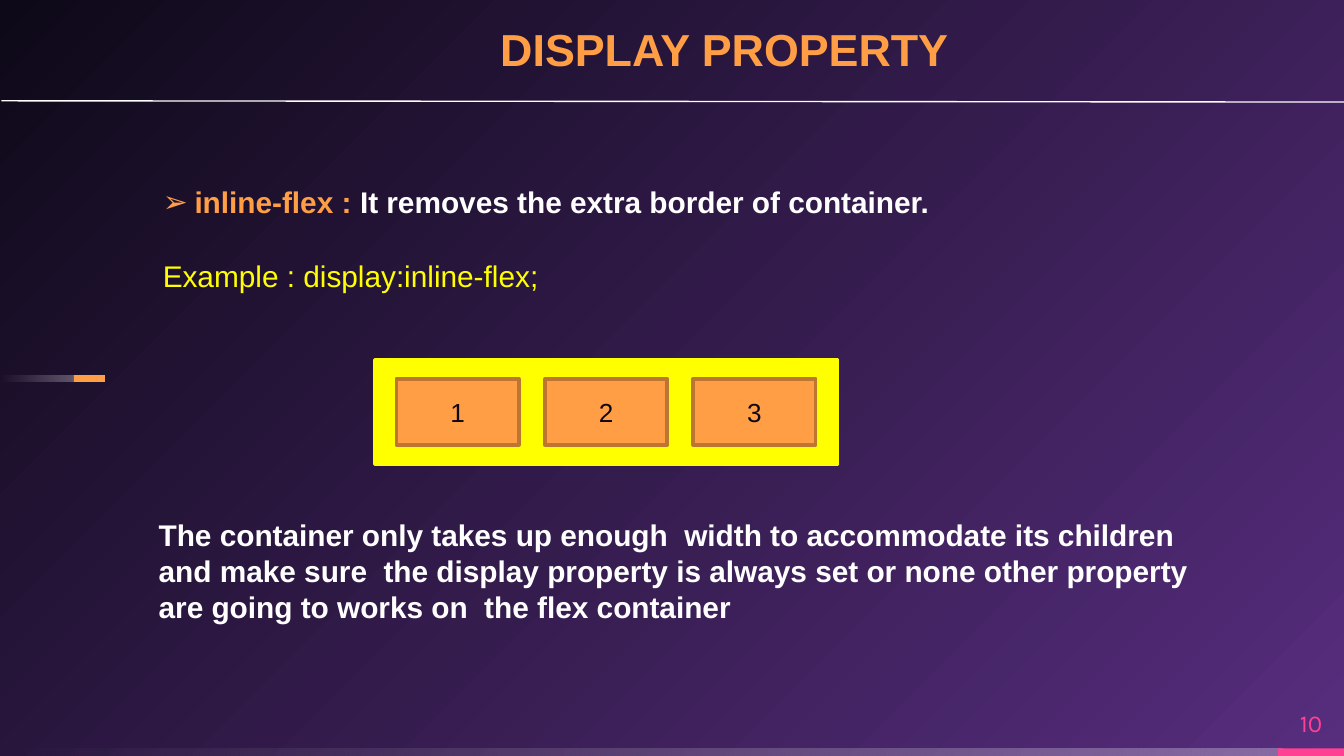
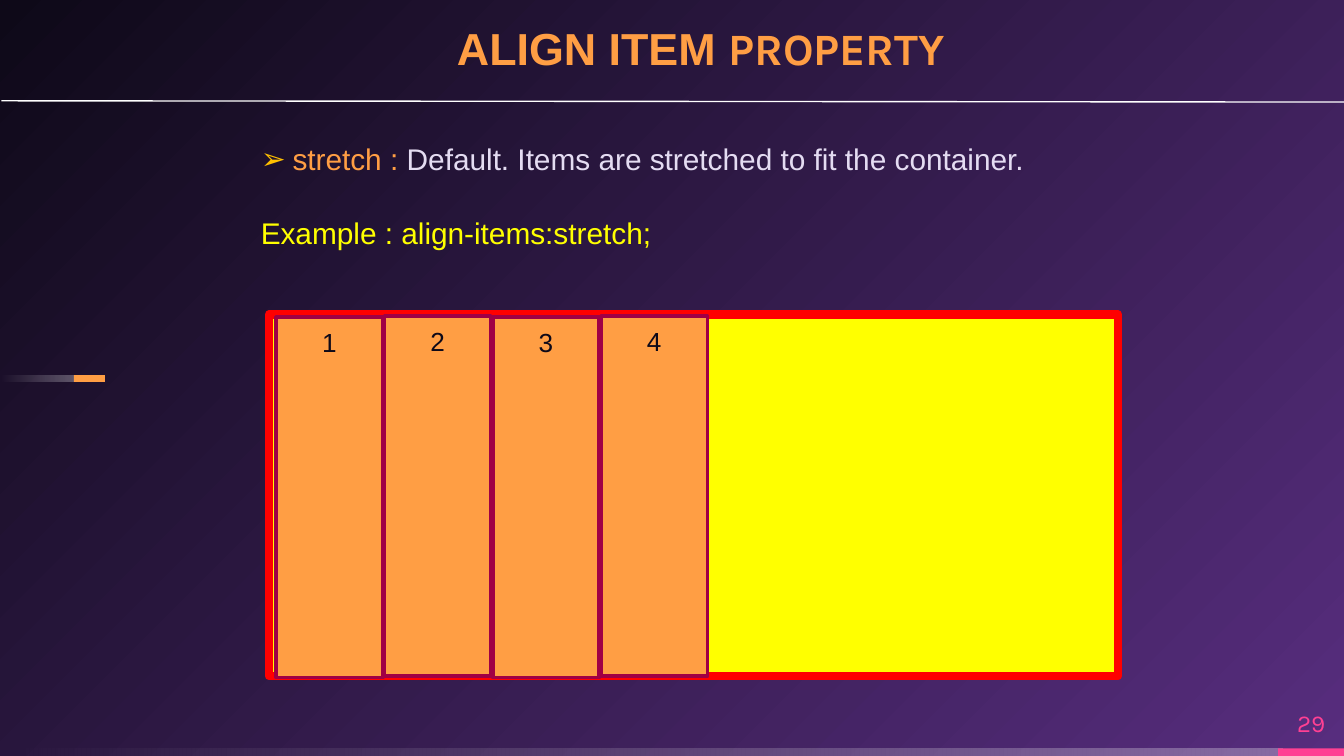
"""Build two slides on the CSS flexbox display and align-items properties."""
from lxml.etree import SubElement
from pptx import Presentation
from pptx.dml.color import RGBColor
from pptx.enum.shapes import MSO_CONNECTOR, MSO_SHAPE
from pptx.enum.text import MSO_ANCHOR, MSO_AUTO_SIZE, PP_ALIGN
from pptx.oxml.ns import qn
from pptx.util import Pt

ORANGE, PINK, YELLOW, WHITE = "FF9E44", "FF4093", "FFFF00", "FFFFFF"
PURPLE, DARK = "572D7E", "0E0918"

SLIDES = [
    {
        "number": "10",
        "title": [("DISPLAY PROPERTY", "Arial")],
        "title_spot": (268, 9.4, 296, 31),
        "title_spacing": 1.0,
        "body_spot": (80, 95, 522, 85),
        "bullet_color": ORANGE,
        "term": "inline-flex : ",
        "meaning": "It removes the extra border of container.",
        "meaning_color": WHITE,
        "bold": True,
        "example": "Example : display:inline-flex;",
        "container": (201, 193, 247.7, 55.5),
        "container_line": (YELLOW, 2),
        "items": 3,
        "first_item": (212.4, 203, 65.5, 35.3),
        "item_step": 79.5,
        "item_rise": 0,
        "item_line": "BD7532",
        "item_anchor": MSO_ANCHOR.MIDDLE,
        "note": "The container only takes up enough  width to accommodate its children "
                "and make sure  the display property is always set or none other property "
                "are going to works on  the flex container",
    },
    {
        "number": "29",
        "title": [("ALIGN ITEM ", "Arial"), ("PROPERTY", "Karla")],
        "title_spot": (244.8, 9.4, 306.7, 31),
        "title_spacing": 0.9,
        "body_spot": (132.5, 72, 474, 65.5),
        "bullet_color": "FFC000",
        "term": "stretch : ",
        "meaning": "Default. Items are stretched to fit the container.",
        "meaning_color": "E4DCF2",
        "bold": False,
        "example": "Example : align-items:stretch;",
        "container": (144, 168.5, 455, 193.7),
        "container_line": ("FF0000", 4.5),
        "items": 4,
        "first_item": (148, 170, 57, 193),
        "item_step": 58,
        "item_rise": 0.7,
        "item_line": "A00045",
        "item_anchor": MSO_ANCHOR.TOP,
        "note": None,
    },
]


def add_box(slide, kind, spot, fill, line=None, width=0):
    """Add a flat filled shape with an optional outline."""
    shape = slide.shapes.add_shape(kind, *map(Pt, spot))
    shape.shadow.inherit = False
    shape.fill.solid()
    shape.fill.fore_color.rgb = RGBColor.from_string(fill)
    if line:
        shape.line.color.rgb = RGBColor.from_string(line)
        shape.line.width = Pt(width)
    else:
        shape.line.fill.background()
    return shape


def set_font(font, size, color, name="Arial", bold=False):
    """Set size, colour, typeface and weight of a font."""
    font.size = Pt(size)
    font.color.rgb = RGBColor.from_string(color)
    font.name = name
    font.bold = bold


presentation = Presentation()
presentation.slide_width, presentation.slide_height = Pt(720), Pt(405)
layout = presentation.slide_layouts[1]
for placeholder in list(layout.placeholders)[2:]:
    layout.shapes.element.remove(placeholder.element)

background = layout.background.fill
background.gradient()
for stop, color in zip(background.gradient_stops, (PURPLE, DARK)):
    stop.color.rgb = RGBColor.from_string(color)
gradient = layout.element.find(".//" + qn("a:gradFill"))
gradient.remove(gradient.find(qn("a:lin")))
path_shade = SubElement(gradient, qn("a:path"), path="circle")
SubElement(path_shade, qn("a:fillToRect"), l="100000", t="100000")

slides = [presentation.slides.add_slide(layout) for _ in SLIDES]

for spot, color in [
    ((0, 401, 687, 4), None),
    ((684.7, 401, 35.3, 4), PINK),
    ((0, 201, 40, 3.6), None),
    ((39.6, 201, 16.6, 3.6), ORANGE),
]:
    band = add_box(slides[0], MSO_SHAPE.RECTANGLE, spot, color or WHITE)
    if color is None:
        band.fill.gradient()
        band.fill.gradient_angle = 180
        for stop in band.fill.gradient_stops:
            stop.color.rgb = RGBColor.from_string(WHITE)
        for white, alpha in zip(band.element.iter(qn("a:srgbClr")), ("30000", "0")):
            SubElement(white, qn("a:alpha"), val=alpha)
    layout.shapes.element.append(band.element)

for slide, content in zip(slides, SLIDES):
    title, body = slide.placeholders
    number = slide.shapes.add_textbox(Pt(684.7), Pt(373.7), Pt(35.3), Pt(27.4))
    for shape, spot in ((title, content["title_spot"]), (body, content["body_spot"])):
        shape.left, shape.top, shape.width, shape.height = map(Pt, spot)
    for shape, anchor in ((title, MSO_ANCHOR.BOTTOM), (number, MSO_ANCHOR.MIDDLE)):
        frame = shape.text_frame
        frame.margin_left = frame.margin_top = frame.margin_right = frame.margin_bottom = 0
        frame.vertical_anchor = anchor
        frame.word_wrap = True
        frame.auto_size = MSO_AUTO_SIZE.NONE

    paragraph = title.text_frame.paragraphs[0]
    paragraph.alignment = PP_ALIGN.LEFT
    paragraph.line_spacing = content["title_spacing"]
    for text, name in content["title"]:
        run = paragraph.add_run()
        run.text = text
        set_font(run.font, 24, ORANGE, name, True)

    paragraph = number.text_frame.paragraphs[0]
    paragraph.text = content["number"]
    paragraph.alignment = PP_ALIGN.CENTER
    set_font(paragraph.font, 13, PINK, "Karla")

    frame = body.text_frame
    frame.auto_size = MSO_AUTO_SIZE.NONE
    frame.vertical_anchor = MSO_ANCHOR.TOP
    definition, example = frame.paragraphs[0], frame.add_paragraph()
    definition.space_before, example.space_before = Pt(0), Pt(20)
    properties = definition._p.get_or_add_pPr()
    properties.set("marL", str(Pt(17)))
    properties.set("indent", str(-Pt(17)))
    bullet_color = SubElement(properties, qn("a:buClr"))
    SubElement(bullet_color, qn("a:srgbClr"), val=content["bullet_color"])
    SubElement(properties, qn("a:buFont"), typeface="Arial")
    SubElement(properties, qn("a:buChar"), char="➢")
    for text, color in (
        (content["term"], ORANGE),
        (content["meaning"], content["meaning_color"]),
    ):
        run = definition.add_run()
        run.text = text
        set_font(run.font, 16, color, bold=content["bold"])
    properties = example._p.get_or_add_pPr()
    properties.set("marL", "0")
    properties.set("indent", "0")
    SubElement(properties, qn("a:buNone"))
    example.text = content["example"]
    set_font(example.font, 16, YELLOW)

    rule = slide.shapes.add_connector(
        MSO_CONNECTOR.STRAIGHT, Pt(0.7), Pt(54), Pt(730), Pt(54.7))
    rule.line.color.rgb = RGBColor.from_string(WHITE)
    rule.line.width = Pt(0.75)
    SubElement(rule.element.spPr, qn("a:effectLst"))

    add_box(slide, MSO_SHAPE.FLOWCHART_PROCESS, content["container"], YELLOW,
            *content["container_line"])
    left, top, width, height = content["first_item"]
    for index in range(content["items"]):
        spot = (left + index * content["item_step"],
                top - index % 2 * content["item_rise"], width, height)
        item = add_box(slide, MSO_SHAPE.FLOWCHART_PROCESS, spot, ORANGE,
                       content["item_line"], 2)
        item.text_frame.vertical_anchor = content["item_anchor"]
        item.text_frame.margin_top = item.text_frame.margin_bottom = Pt(5)
        paragraph = item.text_frame.paragraphs[0]
        paragraph.text = str(index + 1)
        paragraph.alignment = PP_ALIGN.CENTER
        set_font(paragraph.font, 14, DARK)

    if content["note"]:
        note = slide.shapes.add_textbox(Pt(85), Pt(249), Pt(556), Pt(106))
        frame = note.text_frame
        frame.word_wrap = True
        frame.margin_left = frame.margin_right = frame.margin_bottom = 0
        frame.margin_top = Pt(28)
        paragraph = frame.paragraphs[0]
        paragraph.text = content["note"]
        paragraph.space_after = Pt(8)
        set_font(paragraph.font, 16, WHITE, bold=True)

presentation.save("out.pptx")
